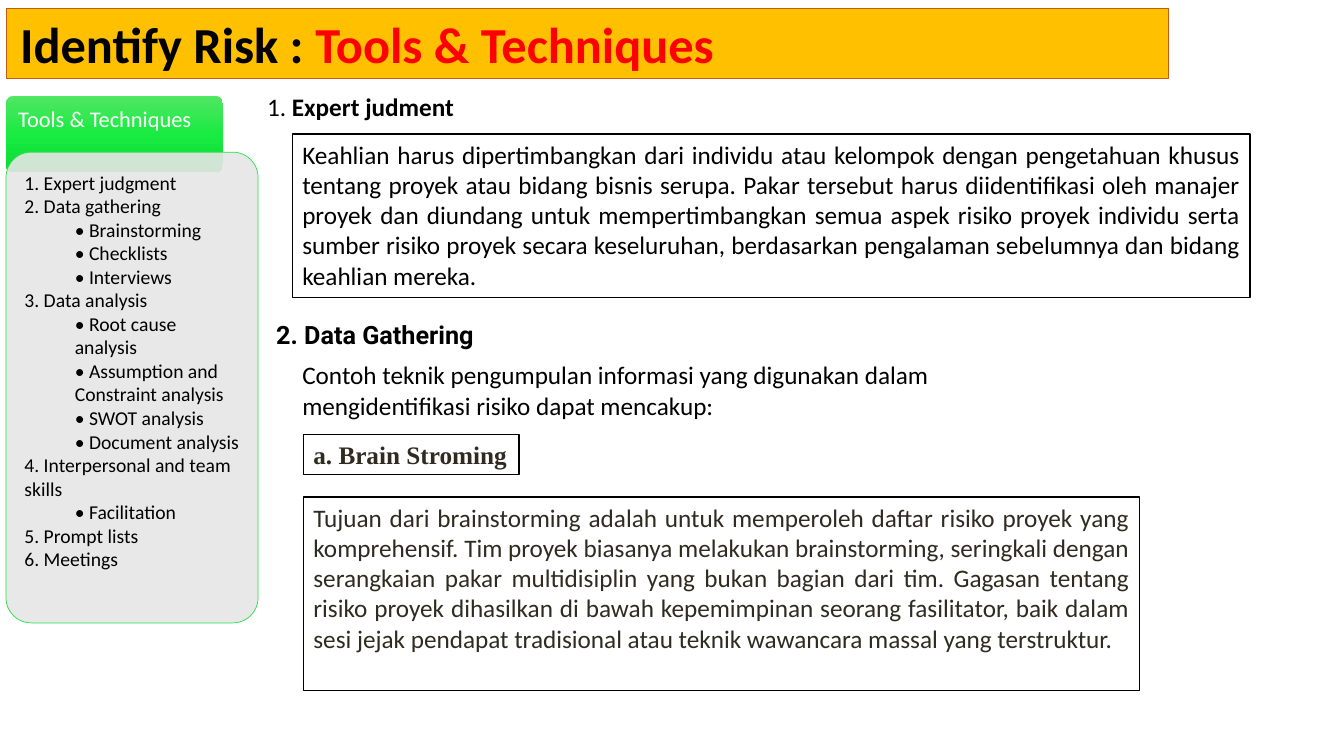
from copy import deepcopy
from pptx import Presentation
from pptx.dml.color import RGBColor
from pptx.enum.shapes import MSO_SHAPE
from pptx.enum.text import MSO_ANCHOR, MSO_AUTO_SIZE, PP_ALIGN
from pptx.oxml.ns import qn
from pptx.util import Inches, Pt

BLACK = RGBColor(0, 0, 0)
WHITE = RGBColor(0xFF, 0xFF, 0xFF)
RED = RGBColor(0xFF, 0, 0)
AMBER = RGBColor(0xFF, 0xC0, 0)
RUST = RGBColor(0xC5, 0x5A, 0x11)
DARK = RGBColor(0x2F, 0x2B, 0x20)
GRAY = RGBColor(0xE7, 0xE6, 0xE6)
GREEN = RGBColor(0x23, 0xE1, 0x48)
SHADES = [
    (0, RGBColor(0x51, 0xE6, 0x63)),
    (0.5, RGBColor(0x19, 0xEB, 0x42)),
    (1, RGBColor(0x0C, 0xDB, 0x34)),
]
ROUND = MSO_SHAPE.ROUNDED_RECTANGLE
TOP, MIDDLE = MSO_ANCHOR.TOP, MSO_ANCHOR.MIDDLE
LEFT, JUSTIFY = PP_ALIGN.LEFT, PP_ALIGN.JUSTIFY
FIXED = MSO_AUTO_SIZE.NONE


def add_run(para, text, size, color=BLACK, bold=False, face="Calibri"):
    run = para.add_run()
    run.text = text
    run.font.size = Pt(size)
    run.font.name = face
    run.font.bold = bold
    run.font.color.rgb = color


def add_card(left, top, width, height, radius, inset):
    card = slide.shapes.add_shape(
        ROUND, Inches(left), Inches(top), Inches(width), Inches(height))
    card.adjustments[0] = radius
    card.shadow.inherit = False
    frame = card.text_frame
    frame.word_wrap = True
    frame.vertical_anchor = TOP
    frame.margin_left = frame.margin_right = Inches(inset)
    frame.margin_top = frame.margin_bottom = Inches(inset)
    return card


prs = Presentation()
prs.slide_width = Inches(13.33)
prs.slide_height = Inches(7.5)
slide = prs.slides.add_slide(prs.slide_layouts[5])

title = slide.shapes.title
title.left, title.top = Inches(0.06), Inches(0.08)
title.width, title.height = Inches(11.53), Inches(0.7)
title.fill.solid()
title.fill.fore_color.rgb = AMBER
title.line.color.rgb = RUST
title.line.width = Pt(0.75)
frame = title.text_frame
frame.auto_size = FIXED
frame.vertical_anchor = MIDDLE
frame.margin_left = Inches(0.14)
para = frame.paragraphs[0]
para.alignment = LEFT
add_run(para, "Identify Risk : ", 36, BLACK, True)
add_run(para, "Tools & Techniques", 36, RED, True)

EXPERT = (
    "Keahlian harus dipertimbangkan dari individu atau kelompok dengan "
    "pengetahuan khusus tentang proyek atau bidang bisnis serupa. Pakar "
    "tersebut harus diidentifikasi oleh manajer proyek dan diundang untuk "
    "mempertimbangkan semua aspek risiko proyek individu serta sumber risiko "
    "proyek secara keseluruhan, berdasarkan pengalaman sebelumnya dan bidang "
    "keahlian mereka.")
GATHER = (
    "Contoh teknik pengumpulan informasi yang digunakan dalam "
    "mengidentifikasi risiko dapat mencakup:")
STORM = (
    "Tujuan dari brainstorming adalah untuk memperoleh daftar risiko proyek "
    "yang komprehensif. Tim proyek biasanya melakukan brainstorming, "
    "seringkali dengan serangkaian pakar multidisiplin yang bukan bagian dari "
    "tim. Gagasan tentang risiko proyek dihasilkan di bawah kepemimpinan "
    "seorang fasilitator, baik dalam sesi jejak pendapat tradisional atau "
    "teknik wawancara massal yang terstruktur.")

boxes = [
    (2.55, 0.86, 6.25, 0.4, False, True,
     [("1. ", BLACK, False, "Calibri"),
      ("Expert judment", BLACK, True, "Calibri")]),
    (2.9, 1.33, 9.5, 1.62, True, True, [(EXPERT, BLACK, False, "Calibri")]),
    (2.64, 3.12, 2.29, 0.4, False, False,
     [("2. Data Gathering", BLACK, True, "Roboto")]),
    (2.9, 3.52, 6.67, 0.71, False, True, [(GATHER, BLACK, False, "Calibri")]),
    (3.01, 4.31, 2.14, 0.4, True, False,
     [("a. Brain Stroming", DARK, True, "Times New Roman")]),
    (3.01, 4.93, 8.29, 1.92, True, True, [(STORM, DARK, False, "Calibri")]),
]
for left, top, width, height, framed, wrap, runs in boxes:
    box = slide.shapes.add_textbox(
        Inches(left), Inches(top), Inches(width), Inches(height))
    frame = box.text_frame
    frame.word_wrap = wrap
    para = frame.paragraphs[0]
    if framed:
        box.fill.solid()
        box.fill.fore_color.rgb = WHITE
        box.line.color.rgb = BLACK
        box.line.width = Pt(1)
        para.alignment = JUSTIFY
    for text, color, bold, face in runs:
        add_run(para, text, 18, color, bold, face)

tab = add_card(0.06, 0.95, 2.15, 0.76, 0.1, 0.1)
tab.line.fill.background()
tab.fill.gradient()
tab.fill.gradient_angle = 270
stops = tab._element.spPr.find(qn("a:gradFill")).find(qn("a:gsLst"))
stops.append(deepcopy(stops[-1]))
for stop, (place, color) in zip(tab.fill.gradient_stops, SHADES):
    stop.position = place
    stop.color.rgb = color
para = tab.text_frame.paragraphs[0]
para.alignment = LEFT
para.line_spacing = 0.9
add_run(para, "Tools & Techniques", 16, WHITE)

panel = add_card(0.06, 1.51, 2.5, 4.67, 0.1, 0.11)
panel.fill.solid()
panel.fill.fore_color.rgb = GRAY
tint = panel._element.spPr.find(qn("a:solidFill"))[0]
tint.append(tint.makeelement(qn("a:alpha"), {"val": "90000"}))
panel.line.color.rgb = GREEN
panel.line.width = Pt(0.5)

topics = [
    ("1. Expert judgment", []),
    ("2. Data gathering", ["Brainstorming", "Checklists", "Interviews"]),
    ("3. Data analysis",
     ["Root cause analysis", "Assumption and Constraint analysis",
      "SWOT analysis", "Document analysis"]),
    ("4. Interpersonal and team skills", ["Facilitation"]),
    ("5. Prompt lists", []),
    ("6. Meetings", []),
]
frame = panel.text_frame
para = frame.paragraphs[0]
for topic, parts in topics:
    if para.runs:
        para = frame.add_paragraph()
    para.alignment = LEFT
    add_run(para, topic, 14)
    for part in parts:
        para = frame.add_paragraph()
        para.alignment = LEFT
        para.level = 1
        props = para._p.get_or_add_pPr()
        props.set("marL", str(Inches(0.5)))
        props.set("indent", "0")
        add_run(para, "• " + part, 14)

prs.save("out.pptx")
